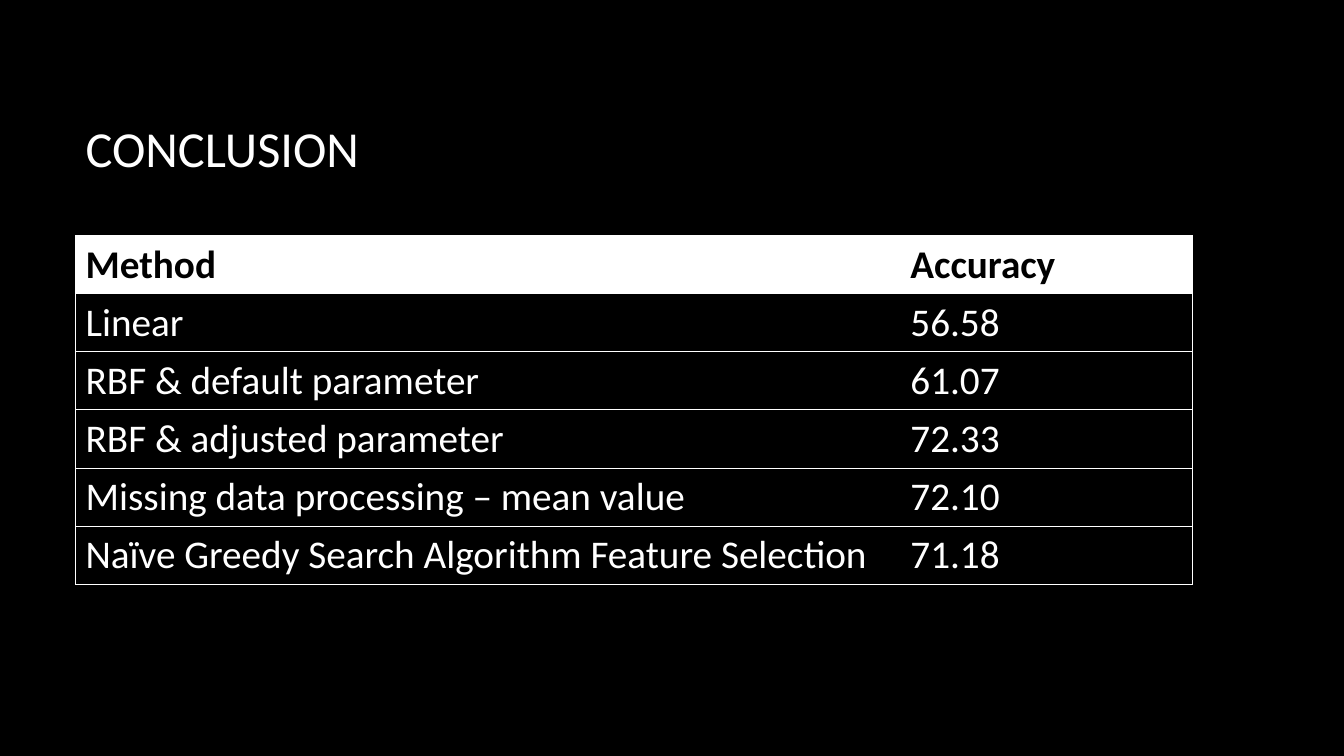
from lxml.etree import SubElement
from pptx import Presentation
from pptx.dml.color import RGBColor
from pptx.enum.text import MSO_ANCHOR, PP_ALIGN
from pptx.oxml.ns import qn
from pptx.util import Inches, Pt

BLACK = RGBColor(0x00, 0x00, 0x00)
WHITE = RGBColor(0xFF, 0xFF, 0xFF)
FONT = "Calibri"

RESULTS = [
    ("Method", "Accuracy"),
    ("Linear", "56.58"),
    ("RBF & default parameter", "61.07"),
    ("RBF & adjusted parameter", "72.33"),
    ("Missing data processing – mean value", "72.10"),
    ("Naïve Greedy Search Algorithm Feature Selection", "71.18"),
]
COLUMN_WIDTHS = (8.18, 2.9)
ROW_HEIGHT = 0.57


def set_border(cell, side, visible):
    """Draw a thin white line on one side (L, R, T or B), or clear it."""
    line = SubElement(cell._tc.get_or_add_tcPr(), qn(f"a:ln{side}"), w=str(Pt(0.75)))
    if visible:
        fill = SubElement(line, qn("a:solidFill"))
        SubElement(fill, qn("a:srgbClr"), val=str(WHITE))
    else:
        SubElement(line, qn("a:noFill"))


def style_font(font, size, color, bold=False):
    font.name = FONT
    font.size = Pt(size)
    font.bold = bold
    font.color.rgb = color


prs = Presentation()
prs.slide_width, prs.slide_height = Inches(13.33), Inches(7.5)
slide = prs.slides.add_slide(prs.slide_layouts[5])
slide.background.fill.solid()
slide.background.fill.fore_color.rgb = BLACK

title = slide.shapes.title
title.left, title.top = Inches(0.75), Inches(0.67)
title.width, title.height = Inches(11.08), Inches(1.59)
title.text_frame.text = "CONCLUSION"
title.text_frame.vertical_anchor = MSO_ANCHOR.MIDDLE
heading = title.text_frame.paragraphs[0]
heading.alignment = PP_ALIGN.LEFT
style_font(heading.font, 36, WHITE)

accuracy_table = slide.shapes.add_table(
    len(RESULTS), len(COLUMN_WIDTHS), Inches(0.75), Inches(2.34),
    Inches(sum(COLUMN_WIDTHS)), Inches(ROW_HEIGHT * len(RESULTS))).table
accuracy_table.horz_banding = False
for column, width in zip(accuracy_table.columns, COLUMN_WIDTHS):
    column.width = Inches(width)

for row, record in enumerate(RESULTS):
    accuracy_table.rows[row].height = Inches(ROW_HEIGHT)
    is_header = row == 0
    for col, entry in enumerate(record):
        cell = accuracy_table.cell(row, col)
        cell.text = entry
        style_font(cell.text_frame.paragraphs[0].font, 28,
                   BLACK if is_header else WHITE, is_header)
        set_border(cell, "L", col == 0)
        set_border(cell, "R", col == len(record) - 1)
        set_border(cell, "T", True)
        set_border(cell, "B", True)
        cell.fill.solid()
        cell.fill.fore_color.rgb = WHITE if is_header else BLACK

prs.save("out.pptx")
